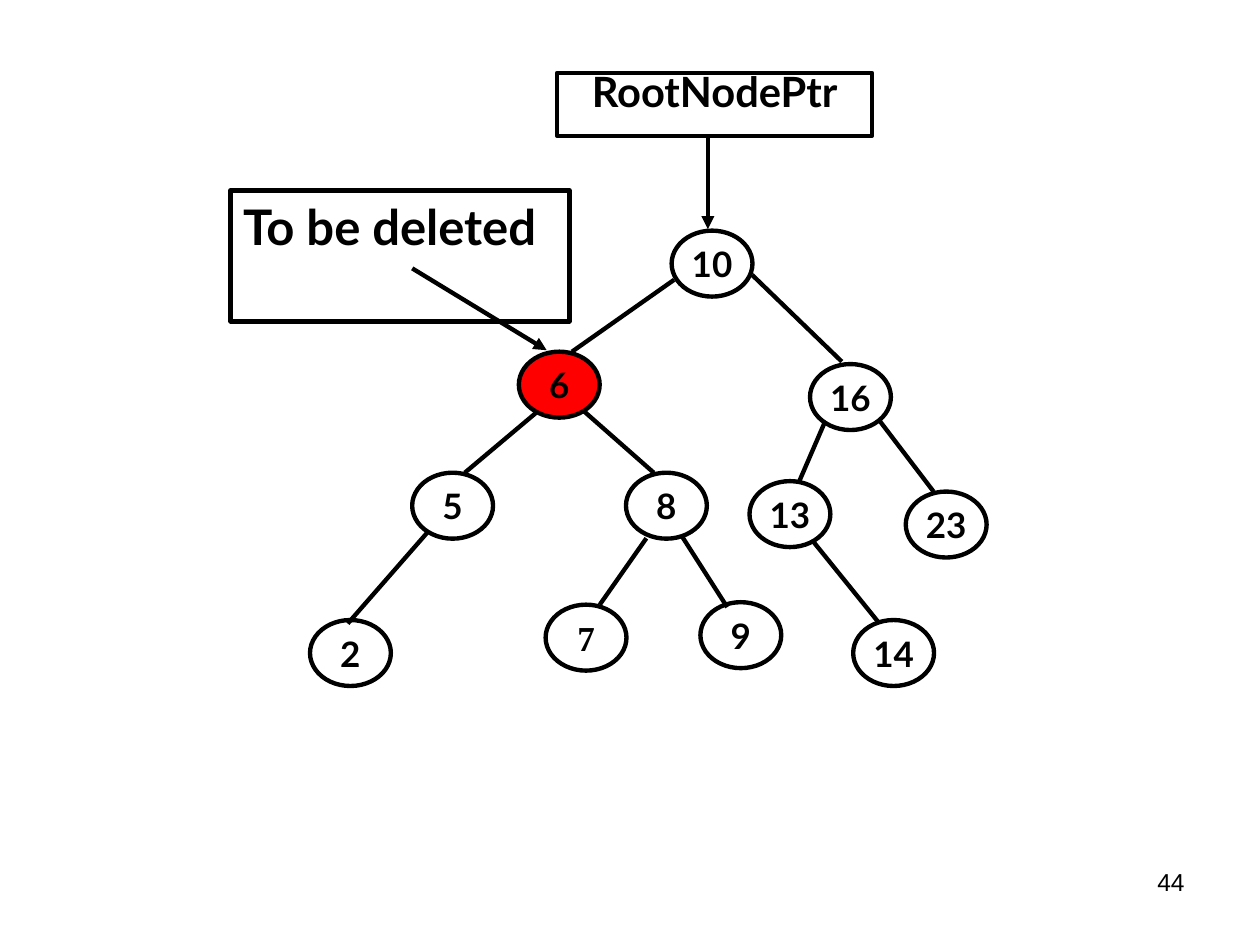
from lxml import etree
from pptx import Presentation
from pptx.dml.color import RGBColor
from pptx.enum import shapes, text
from pptx.oxml import ns
from pptx.util import Cm, Pt

BLACK = RGBColor(0, 0, 0)
RED = RGBColor(255, 0, 0)
FONT = "Lato"
LINE = Pt(2.5)
NODE = (1.63, 1.33)
PAD = (0.25, 0.13)

# label, left, top (cm)
NODES = [
    ("10", 13.54, 4.65),
    ("6", 10.46, 7.09),
    ("16", 16.33, 7.34),
    ("5", 8.31, 9.53),
    ("8", 12.62, 9.53),
    ("13", 15.11, 9.7),
    ("23", 18.26, 9.91),
    ("2", 6.25, 12.5),
    ("7", 11, 12.19),
    ("9", 14.12, 12.14),
    ("14", 17.2, 12.5),
]
FILLS = {"6": RED}
FONTS = {"7": "Times New Roman"}

# x and y of both ends (cm), parent first
EDGES = [
    (13.59, 5.64, 11.53, 7.09),
    (15.16, 5.54, 16.97, 7.29),
    (10.82, 8.31, 9.37, 9.53),
    (11.76, 8.28, 13.18, 9.53),
    (16.64, 8.48, 16.1, 9.73),
    (17.73, 8.48, 18.82, 9.91),
    (8.61, 10.74, 7.01, 12.57),
    (13.03, 10.85, 12.09, 12.19),
    (13.74, 10.8, 14.66, 12.24),
    (16.38, 10.9, 17.73, 12.57),
]
ARROWS = [(14.27, 2.74, 14.27, 4.62), (8.31, 5.41, 11.02, 7.06)]

# label, place (cm), size, alignment, line spacing
BOXES = [
    ("RootNodePtr", (11.23, 1.47, 6.35, 1.27), 23.8, text.PP_ALIGN.CENTER, 0.7),
    ("To be deleted", (4.65, 3.84, 6.83, 2.64), 28, text.PP_ALIGN.LEFT, 1.0),
]
NUMBER = ("44", (18.21, 17.35, 5.92, 1.32))


def write(shape, label, size, align, font=FONT, bold=True, pad=PAD,
          anchor=text.MSO_ANCHOR.TOP, space=1.0):
    frame = shape.text_frame
    frame.word_wrap = True
    frame.vertical_anchor = anchor
    frame.margin_left = frame.margin_right = Cm(pad[0])
    frame.margin_top = frame.margin_bottom = Cm(pad[1])
    para = frame.paragraphs[0]
    para.alignment = align
    para.line_spacing = space
    run = para.add_run()
    run.text = label
    run.font.name = font
    run.font.size = Pt(size)
    run.font.bold = bold
    run.font.color.rgb = BLACK


def outline(slide, kind, place, fill=None):
    shape = slide.shapes.add_shape(kind, *map(Cm, place))
    shape.shadow.inherit = False
    if fill is None:
        shape.fill.background()
    else:
        shape.fill.solid()
        shape.fill.fore_color.rgb = fill
    shape.line.color.rgb = BLACK
    shape.line.width = LINE
    return shape


def link(slide, ends, arrow=False):
    line = slide.shapes.add_connector(shapes.MSO_CONNECTOR.STRAIGHT, *map(Cm, ends))
    line.line.color.rgb = BLACK
    line.line.width = LINE
    if arrow:
        etree.SubElement(line.line._get_or_add_ln(), ns.qn("a:tailEnd"), type="triangle")
    etree.SubElement(line._element.spPr, ns.qn("a:effectLst"))


def main():
    deck = Presentation()
    deck.slide_width, deck.slide_height = Cm(25.4), Cm(19.05)
    slide = deck.slides.add_slide(deck.slide_layouts[6])

    label, place = NUMBER
    box = slide.shapes.add_textbox(*map(Cm, place))
    write(box, label, 14, text.PP_ALIGN.RIGHT, font="Arial", bold=False)

    for label, left, top in NODES:
        node = outline(slide, shapes.MSO_SHAPE.OVAL, (left, top, *NODE), FILLS.get(label))
        write(node, label, 20, text.PP_ALIGN.CENTER, font=FONTS.get(label, FONT),
              pad=(0, 0), anchor=text.MSO_ANCHOR.MIDDLE)
    for ends in EDGES:
        link(slide, ends)
    for label, place, size, align, space in BOXES:
        box = outline(slide, shapes.MSO_SHAPE.RECTANGLE, place)
        write(box, label, size, align, space=space)
    for ends in ARROWS:
        link(slide, ends, arrow=True)

    deck.save("out.pptx")


if __name__ == "__main__":
    main()
